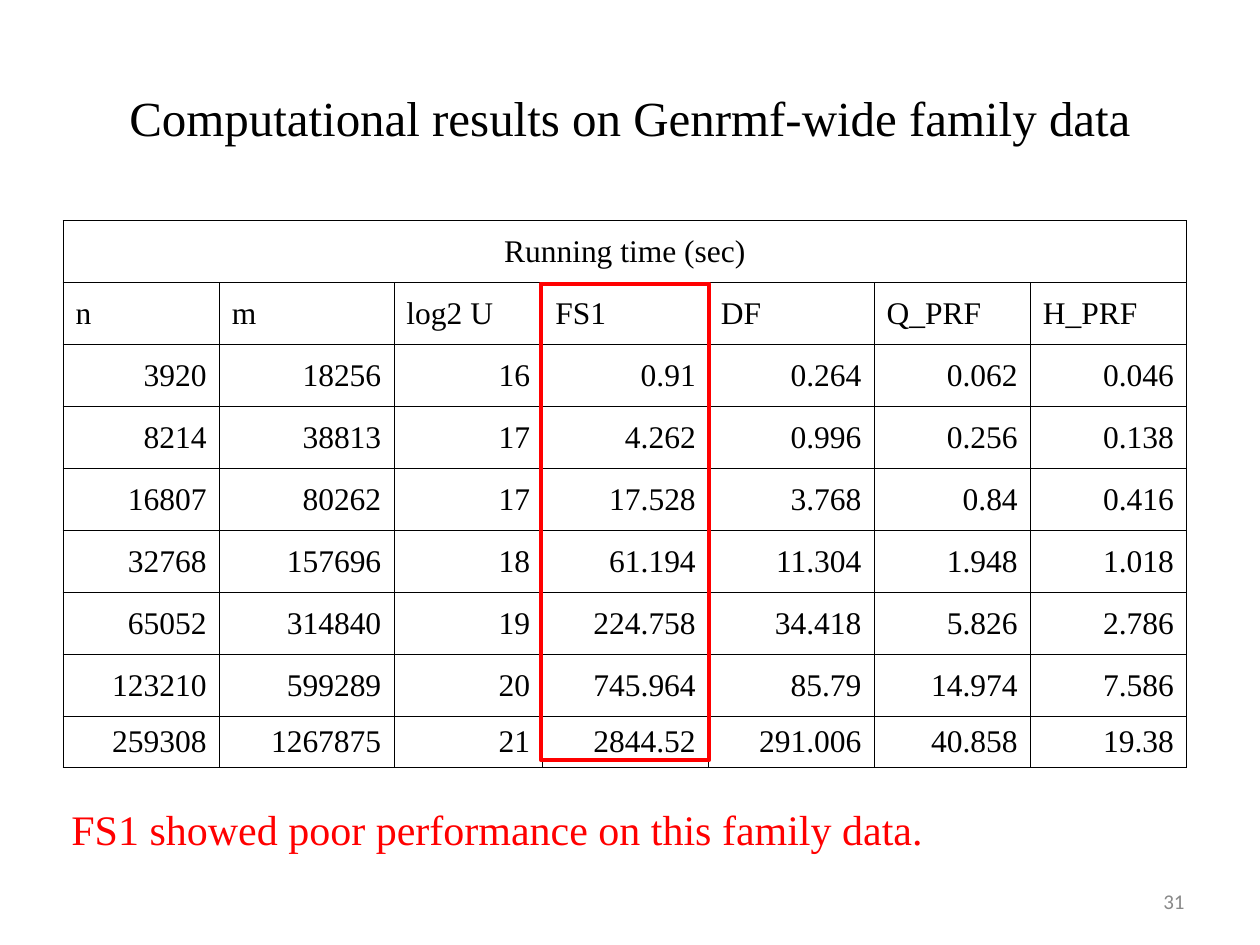
from lxml import etree
from pptx import Presentation
from pptx import util as u
from pptx.dml.color import RGBColor
from pptx.enum import shapes, text
from pptx.oxml import ns

BLACK = RGBColor(0x00, 0x00, 0x00)
RED = RGBColor(0xFF, 0x00, 0x00)
GRAY = RGBColor(0x89, 0x89, 0x89)
SERIF = "Times New Roman"
ALIGN = text.PP_ALIGN

HEADERS = ["n", "m", "log2 U", "FS1", "DF", "Q_PRF", "H_PRF"]
RESULTS = [
    ["3920", "18256", "16", "0.91", "0.264", "0.062", "0.046"],
    ["8214", "38813", "17", "4.262", "0.996", "0.256", "0.138"],
    ["16807", "80262", "17", "17.528", "3.768", "0.84", "0.416"],
    ["32768", "157696", "18", "61.194", "11.304", "1.948", "1.018"],
    ["65052", "314840", "19", "224.758", "34.418", "5.826", "2.786"],
    ["123210", "599289", "20", "745.964", "85.79", "14.974", "7.586"],
    ["259308", "1267875", "21", "2844.52", "291.006", "40.858", "19.38"],
]
COLUMN_WIDTHS = [3.15, 3.52, 3, 3.34, 3.34, 3.15, 3.15]
ROW_HEIGHTS = [1.25] * 8 + [1]
FS1_COLUMN = HEADERS.index("FS1")


def write(para, words, size, color, align, font=SERIF):
    para.alignment = align
    span = para.add_run()
    span.text = words
    span.font.size = u.Pt(size)
    span.font.name = font
    span.font.color.rgb = color


def add_border(cell, side, points):
    line = etree.SubElement(cell._tc.get_or_add_tcPr(), ns.qn(f"a:ln{side}"), w=str(u.Pt(points)))
    fill = etree.SubElement(line, ns.qn("a:solidFill"))
    etree.SubElement(fill, ns.qn("a:srgbClr"), val=str(BLACK))


deck = Presentation()
deck.slide_width = u.Cm(25.4)
deck.slide_height = u.Cm(19.05)
page = deck.slides.add_slide(deck.slide_layouts[5])

title = page.shapes.title
title.left, title.top, title.width, title.height = u.Cm(1.27), u.Cm(0.76), u.Cm(22.86), u.Cm(3.18)
title.text_frame.vertical_anchor = text.MSO_ANCHOR.MIDDLE
write(title.text_frame.paragraphs[0], "Computational results on Genrmf-wide family data",
      28, BLACK, ALIGN.CENTER)

number_box = page.shapes.add_textbox(u.Cm(18.2), u.Cm(17.66), u.Cm(5.93), u.Cm(1.01))
number_box.text_frame.word_wrap = True
number_box.text_frame.vertical_anchor = text.MSO_ANCHOR.MIDDLE
write(number_box.text_frame.paragraphs[0], "31", 12, GRAY, ALIGN.RIGHT, "Calibri")

frame = page.shapes.add_table(len(ROW_HEIGHTS), len(HEADERS), u.Cm(1.27), u.Cm(4.45),
                              u.Cm(sum(COLUMN_WIDTHS)), u.Cm(sum(ROW_HEIGHTS)))
table = frame.table
table.first_row = False
table.horz_banding = False
for column, width in zip(table.columns, COLUMN_WIDTHS):
    column.width = u.Cm(width)
for row, height in zip(table.rows, ROW_HEIGHTS):
    row.height = u.Cm(height)
table.cell(0, 0).merge(table.cell(0, len(HEADERS) - 1))

rows = [["Running time (sec)"], HEADERS] + RESULTS
row_aligns = [ALIGN.CENTER, ALIGN.LEFT] + [ALIGN.RIGHT] * len(RESULTS)
for r, (values, align) in enumerate(zip(rows, row_aligns)):
    for c in range(len(HEADERS)):
        cell = table.cell(r, c)
        for side in "LRTB":
            thick = r > 0 and (c, side) in [(FS1_COLUMN - 1, "R"), (FS1_COLUMN, "L")]
            add_border(cell, side, 0.96 if thick else 0.45)
        cell.fill.background()
        cell.vertical_anchor = text.MSO_ANCHOR.MIDDLE
        if c < len(values):
            para = cell.text_frame.paragraphs[0]
            indent = u.Cm(0.95)
            para._p.get_or_add_pPr().set("marL", str(indent))
            para._p.get_or_add_pPr().set("indent", str(-indent))
            write(para, values[c], 18, BLACK, align)

highlight = page.shapes.add_shape(shapes.MSO_SHAPE.RECTANGLE,
                                  u.Cm(10.9), u.Cm(5.72), u.Cm(3.4), u.Cm(9.6))
highlight.shadow.inherit = False
highlight.fill.background()
highlight.line.color.rgb = RED
highlight.line.width = u.Pt(2.25)

remark = page.shapes.add_textbox(u.Cm(1.19), u.Cm(16.08), u.Cm(17.8), u.Cm(1.27))
remark.text_frame.word_wrap = True
remark.text_frame.auto_size = text.MSO_AUTO_SIZE.SHAPE_TO_FIT_TEXT
write(remark.text_frame.paragraphs[0], "FS1 showed poor performance on this family data.",
      24, RED, ALIGN.LEFT)

deck.save("out.pptx")
